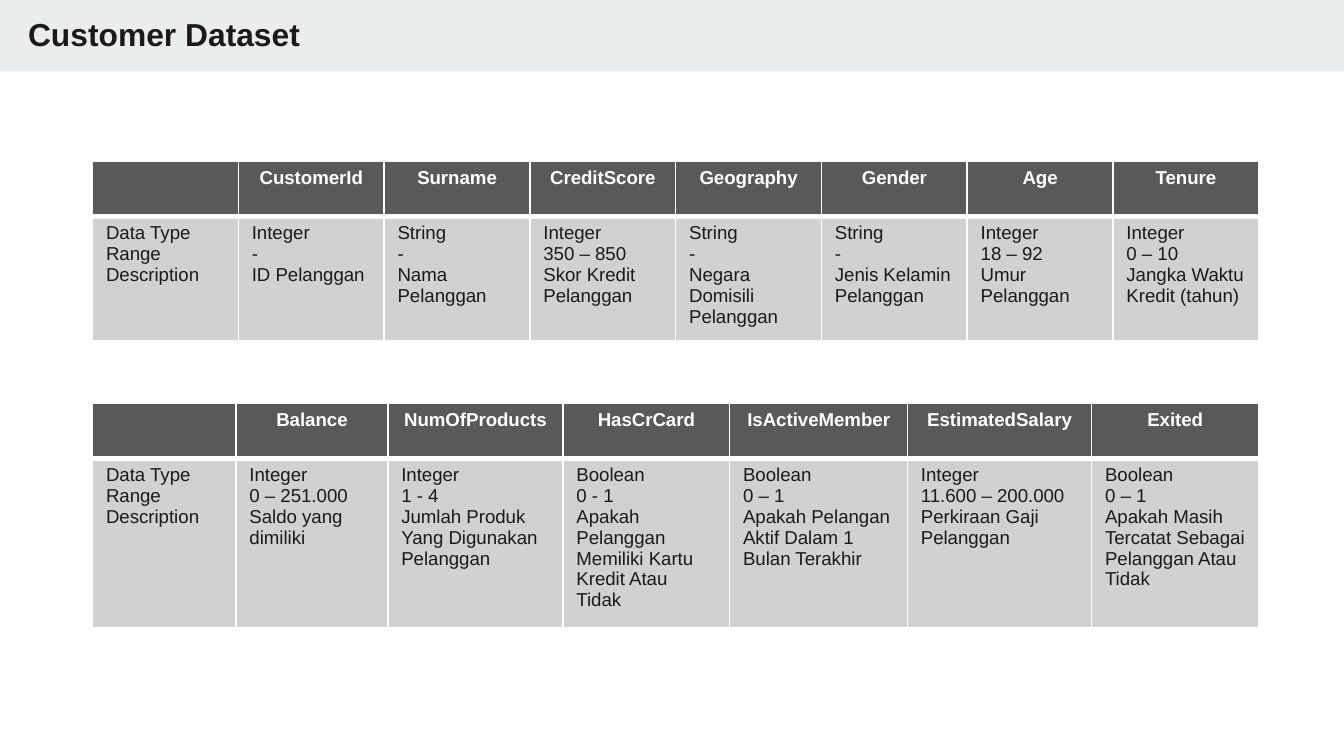
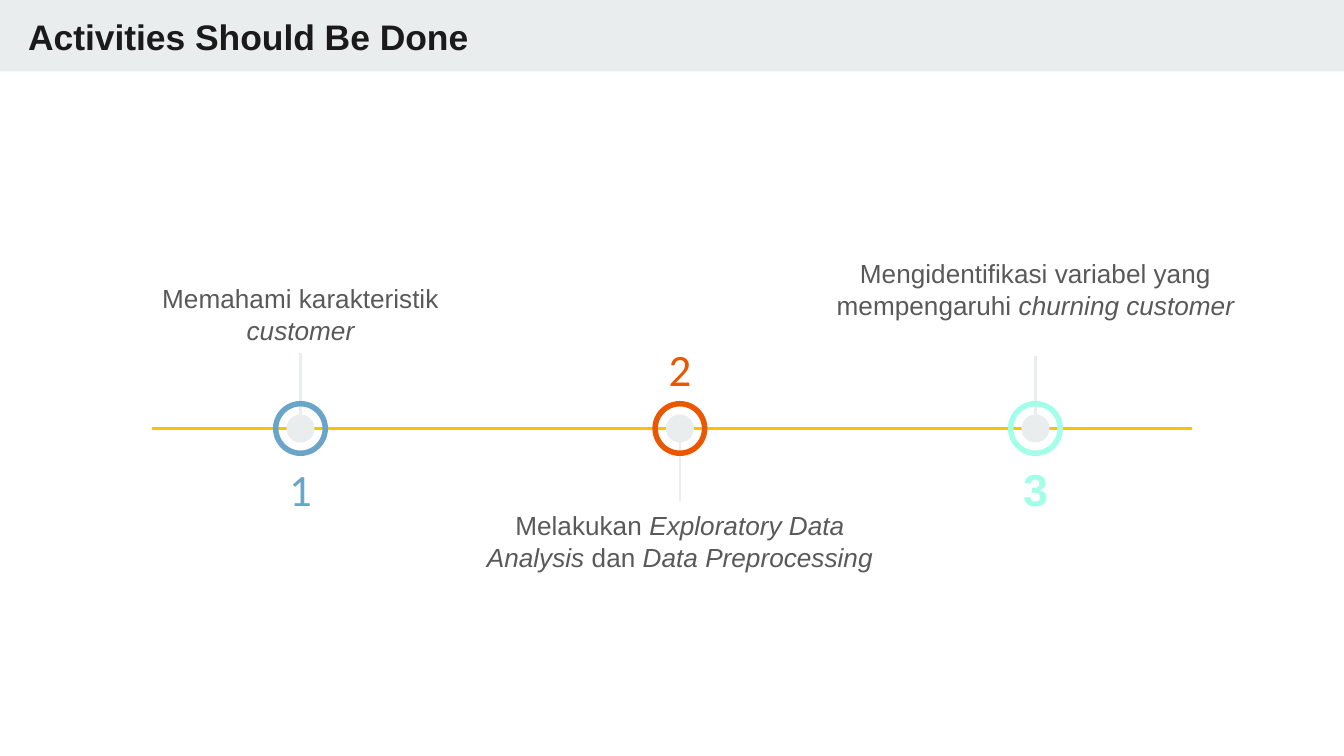
from lxml.etree import SubElement
from pptx import Presentation
from pptx.dml.color import RGBColor
from pptx.enum.shapes import MSO_CONNECTOR as Connector, MSO_SHAPE as Preset
from pptx.enum.text import MSO_ANCHOR as Anchor, MSO_AUTO_SIZE as AutoSize, PP_ALIGN as Align
from pptx.oxml.ns import qn
from pptx.util import Cm, Pt

WIDTH, HEIGHT = 25.4, 14.29
INK, GRAY, WHITE, PALE = "1A1A1A", "595959", "FFFFFF", "E9EDEE"
CELL, GOLD = "D1D1D1", "FFC000"
BLUE, ORANGE, MINT = "6AA4C8", "EB5600", "A2FFE8"

FIELD_LABELS = ("", "Data Type", "Range", "Description")
TABLES = [
    {
        "top": 3.05,
        "widths": [2.755] * 8,
        "body_height": 2.36,
        "fields": [
            FIELD_LABELS,
            ("CustomerId", "Integer", "-", "ID Pelanggan"),
            ("Surname", "String", "-", "Nama Pelanggan"),
            ("CreditScore", "Integer", "350 – 850", "Skor Kredit Pelanggan"),
            ("Geography", "String", "-", "Negara Domisili Pelanggan"),
            ("Gender", "String", "-", "Jenis Kelamin Pelanggan"),
            ("Age", "Integer", "18 – 92", "Umur Pelanggan"),
            ("Tenure", "Integer", "0 – 10", "Jangka Waktu Kredit (tahun)"),
        ],
    },
    {
        "top": 7.62,
        "widths": [2.71, 2.87, 3.31, 3.15, 3.36, 3.48, 3.16],
        "body_height": 3.2,
        "fields": [
            FIELD_LABELS,
            ("Balance", "Integer", "0 – 251.000", "Saldo yang dimiliki"),
            ("NumOfProducts", "Integer", "1 - 4", "Jumlah Produk Yang Digunakan Pelanggan"),
            ("HasCrCard", "Boolean", "0 - 1", "Apakah Pelanggan Memiliki Kartu Kredit Atau Tidak"),
            ("IsActiveMember", "Boolean", "0 – 1", "Apakah Pelangan Aktif Dalam 1 Bulan Terakhir"),
            ("EstimatedSalary", "Integer", "11.600 – 200.000", "Perkiraan Gaji Pelanggan"),
            ("Exited", "Boolean", "0 – 1", "Apakah Masih Tercatat Sebagai Pelanggan Atau Tidak"),
        ],
    },
]

ACTIVITIES = [
    {
        "number": "1", "center": 5.68, "color": BLUE, "font": "Calibri", "bold": False,
        "stem": (6.68, 7.95), "number_top": 8.64,
        "label_top": 4.98, "label_width": 6.12, "anchor": Anchor.BOTTOM,
        "label": [("Memahami karakteristik ", False), ("customer", True)],
    },
    {
        "number": "2", "center": 12.85, "color": ORANGE, "font": "Calibri", "bold": False,
        "stem": (8.2, 9.47), "number_top": 6.38,
        "label_top": 9.27, "label_width": 8.13, "anchor": Anchor.BOTTOM,
        "label": [("Melakukan ", False), ("Exploratory Data Analysis", True),
                  (" dan ", False), ("Data Preprocessing", True)],
    },
    {
        "number": "3", "center": 19.57, "color": MINT, "font": "Arial", "bold": True,
        "stem": (6.73, 7.98), "number_top": 8.64,
        "label_top": 4.62, "label_width": 8.41, "anchor": Anchor.TOP,
        "label": [("Mengidentifikasi variabel yang mempengaruhi ", False),
                  ("churning customer", True)],
    },
]
LINE_Y, LINE_START, LINE_END = 8.1, 2.87, 22.53
RING, DOT = 1.04, 0.53


def rgb(color):
    return RGBColor.from_string(color)


def write(frame, paragraphs, size=10, color=INK, bold=False, font="Arial", align=Align.LEFT):
    for index, runs in enumerate(paragraphs):
        paragraph = frame.add_paragraph() if index else frame.paragraphs[0]
        paragraph.alignment = align
        paragraph.font.size = Pt(size)
        for text, italic in [(runs, False)] if isinstance(runs, str) else runs:
            run = paragraph.add_run()
            run.text = text
            run.font.name, run.font.size = font, Pt(size)
            run.font.bold, run.font.italic = bold, italic
            run.font.color.rgb = rgb(color)


def set_frame(frame, anchor):
    frame.word_wrap = True
    frame.auto_size = AutoSize.NONE
    frame.vertical_anchor = anchor
    frame.margin_left = frame.margin_right = frame.margin_top = frame.margin_bottom = Cm(0.25)


def add_text(slide, center, top, width, height, paragraphs, anchor, **style):
    box = slide.shapes.add_textbox(Cm(center - width / 2), Cm(top), Cm(width), Cm(height))
    set_frame(box.text_frame, anchor)
    write(box.text_frame, paragraphs, align=Align.CENTER, **style)


def add_filled(shapes, preset, left, top, width, height, color):
    shape = shapes.add_shape(preset, Cm(left), Cm(top), Cm(width), Cm(height))
    shape.shadow.inherit = False
    shape.fill.solid()
    shape.fill.fore_color.rgb = rgb(color)
    shape.line.fill.background()
    return shape


def add_line(slide, start, end, color):
    line = slide.shapes.add_connector(Connector.STRAIGHT, *map(Cm, start + end))
    line.line.color.rgb = rgb(color)
    line.line.width = Pt(1.5)
    SubElement(line.element.spPr, qn("a:effectLst"))


def add_slide(presentation, title_text, title_width, size):
    slide = presentation.slides.add_slide(presentation.slide_layouts[5])
    title = slide.shapes.title
    title.left, title.top, title.width, title.height = map(Cm, (0.28, 0.03, title_width, 1.42))
    set_frame(title.text_frame, Anchor.TOP)
    write(title.text_frame, [title_text], size=size, bold=True)
    band = add_filled(slide.shapes, Preset.RECTANGLE, 0, 0, WIDTH, 1.35, PALE)
    title.element.addprevious(band.element)
    return slide


def set_borders(cell, top, bottom):
    properties = cell._tc.get_or_add_tcPr()
    for position, (side, width) in enumerate((("L", 1), ("R", 1), ("T", top), ("B", bottom))):
        border = SubElement(properties, qn(f"a:ln{side}"), w=str(Pt(width)))
        fill = SubElement(border, qn("a:solidFill"))
        SubElement(fill, qn("a:srgbClr"), val=WHITE)
        properties.insert(position, border)


def format_cell(cell, fill, top, bottom, paragraphs, **style):
    cell.fill.solid()
    cell.fill.fore_color.rgb = rgb(fill)
    set_borders(cell, top, bottom)
    write(cell.text_frame, paragraphs, **style)


def add_field_table(slide, top, widths, body_height, fields):
    heights = (1.04, body_height)
    frame = slide.shapes.add_table(2, len(fields), Cm(1.75), Cm(top), Cm(sum(widths)), Cm(sum(heights)))
    table = frame.table
    table.first_row = table.horz_banding = False
    for row, height in zip(table.rows, heights):
        row.height = Cm(height)
    for index, (width, (name, *details)) in enumerate(zip(widths, fields)):
        table.columns[index].width = Cm(width)
        format_cell(table.cell(0, index), GRAY, 1, 3, [name] if name else [[]],
                    color=WHITE, bold=True, align=Align.CENTER)
        format_cell(table.cell(1, index), CELL, 3, 1, details)


def add_marker(slide, center, color):
    group = slide.shapes.add_group_shape()
    for preset, size, fill in ((Preset.OVAL, DOT, PALE), (Preset.DONUT, RING, color)):
        shape = add_filled(group.shapes, preset, center - size / 2, LINE_Y - size / 2, size, size, fill)
        if preset == Preset.DONUT:
            shape.adjustments[0] = 0.1


def build_dataset(presentation):
    slide = add_slide(presentation, "Customer Dataset", 9.3, 17)
    for table in TABLES:
        add_field_table(slide, **table)


def build_activities(presentation):
    slide = add_slide(presentation, "Activities Should Be Done", 10.54, 19)
    for activity in ACTIVITIES:
        start, end = activity["stem"]
        add_line(slide, (activity["center"], start), (activity["center"], end), PALE)
    add_line(slide, (LINE_START, LINE_Y), (LINE_END, LINE_Y), GOLD)
    for activity in ACTIVITIES:
        center, color = activity["center"], activity["color"]
        add_marker(slide, center, color)
        add_text(slide, center, activity["label_top"], activity["label_width"], 1.8,
                 [activity["label"]], activity["anchor"], size=14, color=GRAY)
        add_text(slide, center, activity["number_top"], 3.58, 1.19, [activity["number"]],
                 Anchor.MIDDLE, size=24, color=color, font=activity["font"], bold=activity["bold"])


def main():
    presentation = Presentation()
    presentation.slide_width, presentation.slide_height = Cm(WIDTH), Cm(HEIGHT)
    build_dataset(presentation)
    build_activities(presentation)
    presentation.save("out.pptx")


if __name__ == "__main__":
    main()
